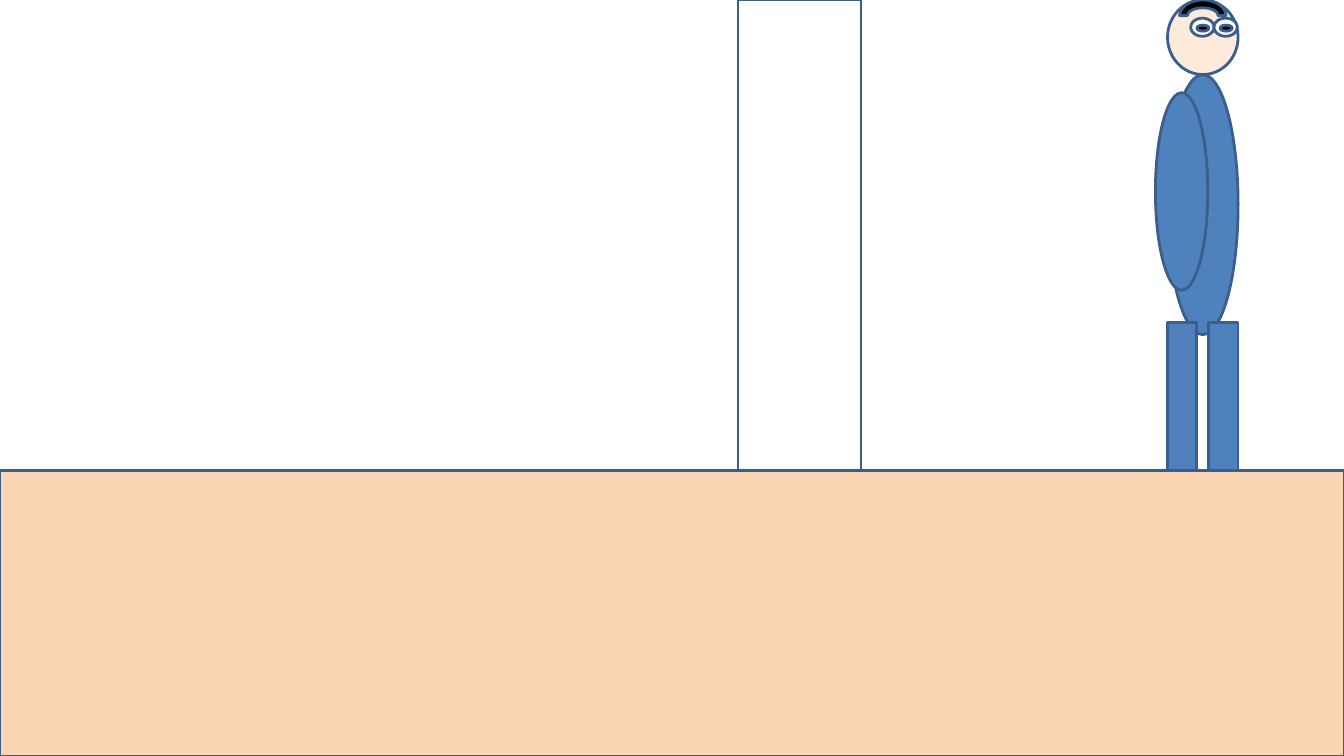
from pptx import Presentation
from pptx import util as u
from pptx.dml import color
from pptx.enum import shapes

deck = Presentation()
deck.slide_width, deck.slide_height = u.Inches(13.33), u.Inches(7.5)
page = deck.slides.add_slide(deck.slide_layouts[6])
column, row = deck.slide_width / 100, deck.slide_height / 100

OVAL = shapes.MSO_SHAPE.OVAL
RECTANGLE = shapes.MSO_SHAPE.RECTANGLE
ARC = shapes.MSO_SHAPE.BLOCK_ARC
SKIN, SUIT, WHITE, BLACK = "FDEADA", "4F81BD", "FFFFFF", "000000"
SAND, OUTLINE = "FCD5B5", "3A5F8C"


def rgb(value):
    return color.RGBColor.from_string(value)


def draw(parent, kind, fill, left, top, width, height):
    shape = parent.shapes.add_shape(
        kind, round(left * column), round(top * row),
        round(width * column), round(height * row))
    shape.shadow.inherit = False
    shape.fill.solid()
    shape.fill.fore_color.rgb = rgb(fill)
    shape.line.color.rgb = rgb(OUTLINE)
    shape.line.width = u.Pt(2)


ground = 62.27
man_left, man_width = 86.87, 5.25
head_height = 9.87
leg_width, leg_height = 2.18, 19.6
eye_left, eye_width = 88.6, 1.73

man = page.shapes.add_group_shape()
draw(man, OVAL, SKIN, man_left, 0, man_width, head_height)
draw(man, OVAL, SUIT, man_left, head_height, man_width, 34.4)
for leg_left in (man_left, man_left + man_width - leg_width):
    draw(man, RECTANGLE, SUIT, leg_left, ground - leg_height, leg_width, leg_height)
draw(man, OVAL, SUIT, 85.97, 12.27, 3.9, 26.13)
for eye in range(2):
    left = eye_left + eye * eye_width
    draw(man, OVAL, WHITE, left, 2.4, eye_width, 2.4)
    draw(man, OVAL, BLACK, left + 0.45, 3.33, 0.9, 0.8)
draw(man, ARC, BLACK, 87.77, 0, 3.45, 4.13)

draw(page, RECTANGLE, SAND, 0, ground, 100, 100 - ground)
draw(page, RECTANGLE, WHITE, 54.91, 0, 9.15, ground)

deck.save("out.pptx")
